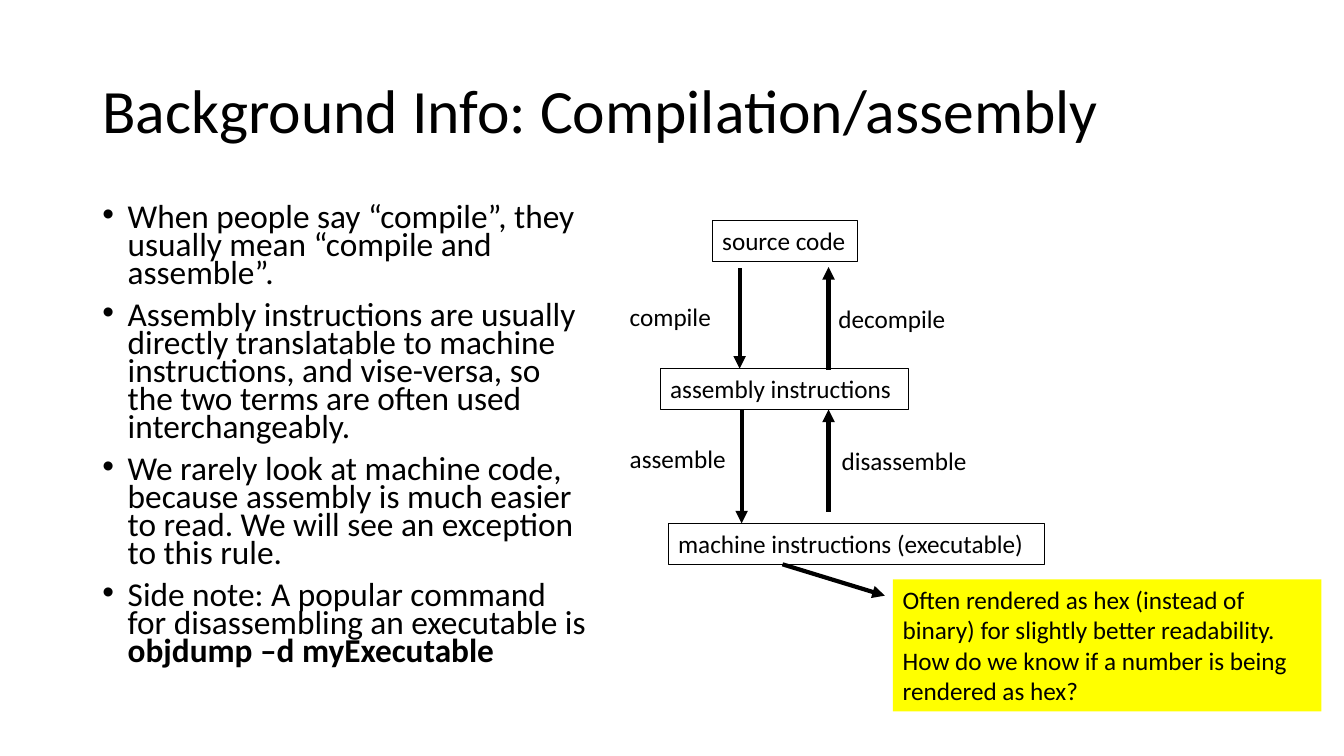
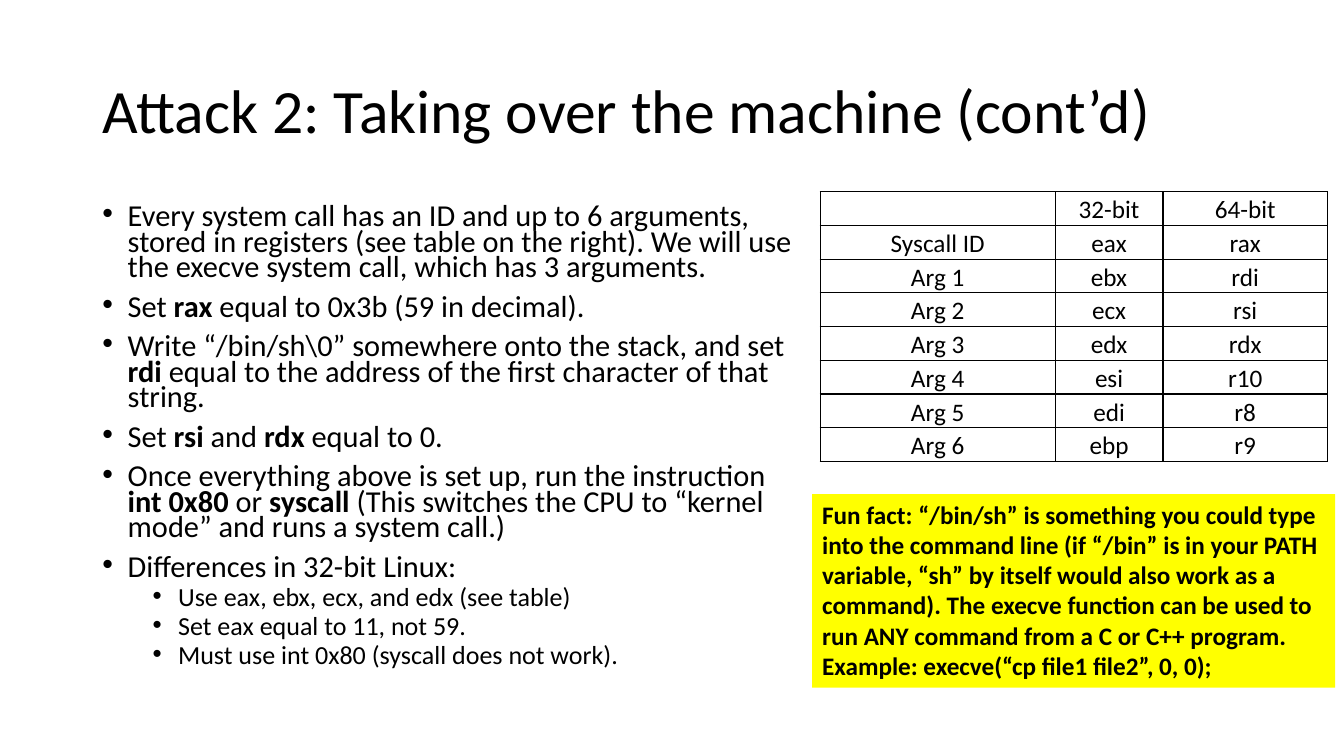
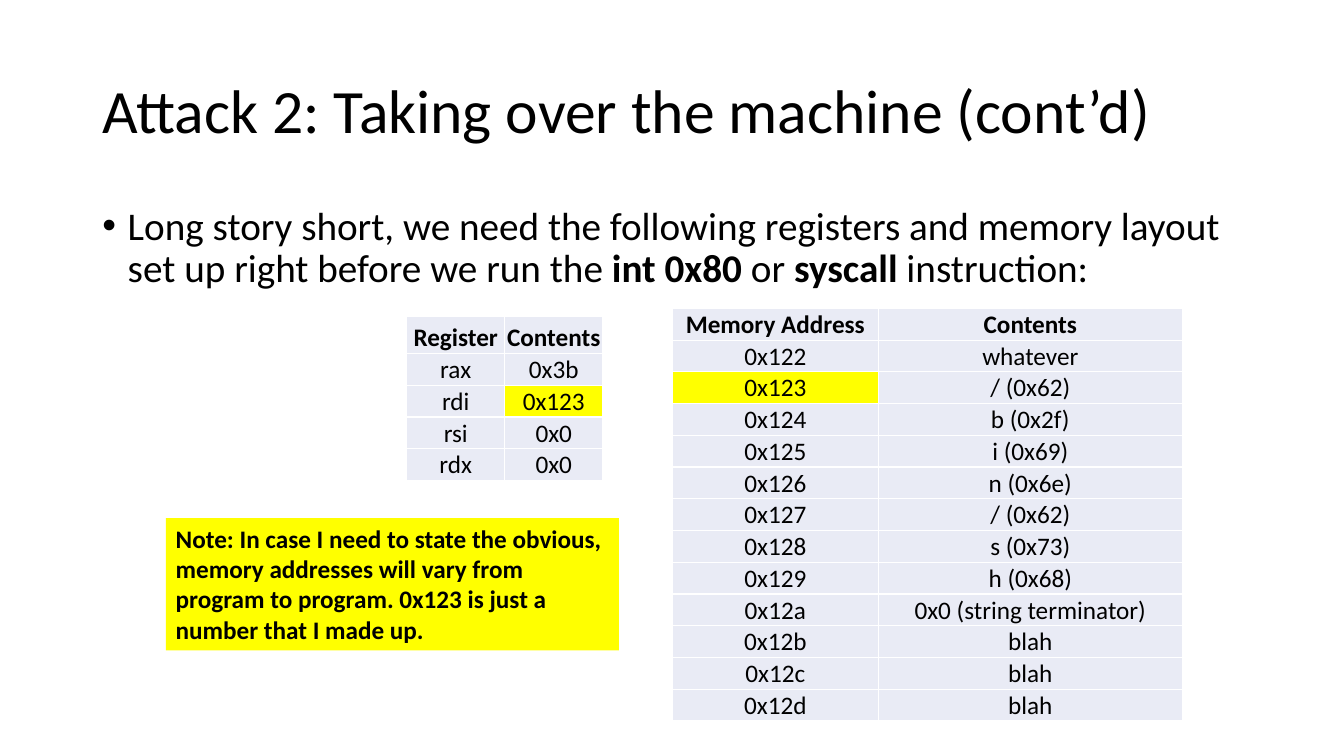
from pptx import Presentation
from pptx.dml.color import RGBColor
from pptx.enum.shapes import MSO_CONNECTOR as Connector, MSO_SHAPE as Shape
from pptx.enum.text import MSO_ANCHOR as Anchor, MSO_AUTO_SIZE as AutoSize, PP_ALIGN as Align
from pptx.oxml.xmlchemy import OxmlElement
from pptx.util import Cm, Pt

FONT = "Calibri"
BLACK, WHITE, YELLOW, PALE = "000000", "FFFFFF", "FFFF00", "E9EBF5"
TITLE_AREA = (2.33, 1.01, 29.21, 3.68)
BODY_LEFT, BODY_TOP, BODY_HEIGHT = 2.33, 5.07, 12.09
INDENT, LEVEL_STEP = 0.64, 1.27
BOX_HEIGHT = 1.03
MARK = "**"  # encloses bold text

COMPILE_TITLE = "Background Info: Compilation/assembly"
COMPILE_POINTS = [
    (0, "When people say “compile”, they usually mean “compile and assemble”."),
    (0, "Assembly instructions are usually directly translatable to machine instructions, "
        "and vise-versa, so the two terms are often used interchangeably."),
    (0, "We rarely look at machine code, because assembly is much easier to read. "
        "We will see an exception to this rule."),
    (0, "Side note: A popular command for disassembling an executable is "
        "**objdump –d myExecutable**"),
]
# text, left, top, width
STAGES = [
    ("source code", 17.95, 5.56, 3.66),
    ("assembly instructions", 16.64, 9.29, 6.25),
    ("machine instructions (executable)", 16.84, 13.19, 9.48),
]
STEP_LABELS = [
    ("compile", 15.62, 7.47, 2.59),
    ("decompile", 20.88, 7.52, 3.26),
    ("assemble", 15.62, 11.04, 2.94),
    ("disassemble", 20.96, 11.09, 3.68),
]
# start x, start y, end x, end y
ARROWS = [
    (18.64, 6.76, 18.64, 9.29),
    (18.69, 10.32, 18.69, 13.19),
    (20.88, 12.9, 20.88, 10.32),
    (20.88, 9.32, 20.88, 6.73),
    (19.72, 14.22, 22.3, 15.01),
]
HEX_NOTE = ("Often rendered as hex (instead of binary) for slightly better readability. "
            "How do we know if a number is being rendered as hex?")

ATTACK_TITLE = "Attack 2: Taking over the machine (cont’d)"
SYSCALL_POINTS = [
    (0, "Every system call has an ID and up to 6 arguments, stored in registers (see table "
        "on the right). We will use the execve system call, which has 3 arguments."),
    (0, "Set **rax** equal to 0x3b (59 in decimal)."),
    (0, "Write “/bin/sh\\0” somewhere onto the stack, and set **rdi** equal to the address "
        "of the first character of that string."),
    (0, "Set **rsi** and **rdx** equal to 0."),
    (0, "Once everything above is set up, run the instruction **int 0x80 **or **syscall **"
        "(This switches the CPU to “kernel mode” and runs a system call.)"),
    (0, "Differences in 32-bit Linux:"),
    (1, "Use eax, ebx, ecx, and edx (see table)"),
    (1, "Set eax equal to 11, not 59."),
    (1, "Must use int 0x80 (syscall does not work)."),
]
SYSCALL_ROWS = [
    ("", "32-bit", "64-bit"),
    ("Syscall ID", "eax", "rax"),
    ("Arg 1", "ebx", "rdi"),
    ("Arg 2", "ecx", "rsi"),
    ("Arg 3", "edx", "rdx"),
    ("Arg 4", "esi", "r10"),
    ("Arg 5", "edi", "r8"),
    ("Arg 6", "ebp", "r9"),
]
FUN_FACT = ("**Fun fact: “/bin/sh” is something you could type into the command line (if “/bin” "
            "is in your PATH variable, “sh” by itself would also work as a command). The execve "
            "function can be used to run ANY command from a C or C++ program. "
            "Example: execve(“cp file1 file2”, 0, 0);**")

LAYOUT_POINTS = [
    (0, "Long story short, we need the following registers and memory layout set up right "
        "before we run the **int 0x80 **or **syscall** instruction:"),
]
REGISTER_ROWS = [
    ("**Register**", "**Contents**"),
    ("rax", "0x3b"), ("rdi", "0x123"), ("rsi", "0x0"), ("rdx", "0x0"),
]
MEMORY_CONTENTS = ["whatever", "/ (0x62)", "b (0x2f)", "i (0x69)", "n (0x6e)", "/ (0x62)",
                   "s (0x73)", "h (0x68)", "0x0 (string terminator)", "blah", "blah", "blah"]
MEMORY_ROWS = [("**Memory Address**", "**Contents**")] + [
    (f"0x{address:x}", text) for address, text in enumerate(MEMORY_CONTENTS, 0x122)]
POINTER = "0x123"
ADDRESS_NOTE = ("**Note: In case I need to state the obvious, memory addresses will vary from "
                "program to program. 0x123 is just a number that I made up.**")


def color(value):
    return RGBColor.from_string(value)


def cm(*values):
    return [Cm(value) for value in values]


def add_text(para, text, size=18):
    """Add runs in turn, plain and bold, as MARK splits the text."""
    for index, part in enumerate(text.split(MARK)):
        if part:
            span = para.add_run()
            span.text = part
            span.font.name, span.font.size = FONT, Pt(size)
            span.font.bold = index % 2 == 1
            span.font.color.rgb = color(BLACK)


def add_page(deck, title):
    page = deck.slides.add_slide(deck.slide_layouts[5])
    holder = page.shapes.title
    holder.left, holder.top, holder.width, holder.height = cm(*TITLE_AREA)
    holder.text_frame.vertical_anchor = Anchor.MIDDLE
    para = holder.text_frame.paragraphs[0]
    para.alignment, para.line_spacing = Align.LEFT, 0.9
    add_text(para, title, 44)
    return page


def add_bullet(para, level):
    props = para._p.get_or_add_pPr()
    props.set("marL", str(Cm(INDENT + level * LEVEL_STEP)))
    props.set("indent", str(-Cm(INDENT)))
    for tag, name, value in (("a:buFont", "typeface", "Arial"), ("a:buChar", "char", "•")):
        element = OxmlElement(tag)
        element.set(name, value)
        props.append(element)


def add_points(page, points, width, sizes, spacing):
    box = page.shapes.add_textbox(*cm(BODY_LEFT, BODY_TOP, width, BODY_HEIGHT))
    frame = box.text_frame
    frame.word_wrap = True
    for index, (level, text) in enumerate(points):
        para = frame.add_paragraph() if index else frame.paragraphs[0]
        para.level = level
        add_bullet(para, level)
        para.line_spacing = spacing
        para.space_before = Pt((10, 5)[level] if index else 0)
        add_text(para, text, sizes[level])


def add_box(page, text, left, top, width, height=BOX_HEIGHT, fill=None, line=None):
    """Add a label, or a rectangle when there is a fill or a line; filled ones wrap."""
    area = cm(left, top, width, height)
    if fill or line:
        box = page.shapes.add_shape(Shape.RECTANGLE, *area)
        box.shadow.inherit = False
    else:
        box = page.shapes.add_textbox(*area)
    if fill:
        box.fill.solid()
        box.fill.fore_color.rgb = color(fill)
    else:
        box.fill.background()
    if line:
        box.line.color.rgb, box.line.width = color(line), Pt(0.75)
    else:
        box.line.fill.background()
    frame = box.text_frame
    frame.word_wrap = bool(fill)
    frame.auto_size = AutoSize.SHAPE_TO_FIT_TEXT
    frame.vertical_anchor = Anchor.TOP
    frame.paragraphs[0].alignment = Align.LEFT
    add_text(frame.paragraphs[0], text)


def add_arrow(page, *ends):
    arrow = page.shapes.add_connector(Connector.STRAIGHT, *cm(*ends))
    arrow.line.color.rgb, arrow.line.width = color(BLACK), Pt(3)
    head = OxmlElement("a:tailEnd")
    head.set("type", "triangle")
    arrow.line._get_or_add_ln().append(head)
    arrow._element.spPr.append(OxmlElement("a:effectLst"))


def add_borders(cell, value):
    props = cell._tc.get_or_add_tcPr()
    for index, side in enumerate("LRTB"):
        edge = OxmlElement(f"a:ln{side}")
        edge.set("w", str(Pt(1)))
        fill, tint = OxmlElement("a:solidFill"), OxmlElement("a:srgbClr")
        tint.set("val", value)
        fill.append(tint)
        edge.append(fill)
        props.insert(index, edge)


def add_grid(page, rows, left, top, widths, heights, border, fill=None, marked=None):
    """Add a centred table; cells whose text is marked turn yellow."""
    area = cm(left, top, sum(widths), sum(heights))
    table = page.shapes.add_table(len(rows), len(widths), *area).table
    table.first_row = table.horz_banding = False
    for column, width in zip(table.columns, widths):
        column.width = Cm(width)
    for row, height, texts in zip(table.rows, heights, rows):
        row.height = Cm(height)
        for cell, text in zip(row.cells, texts):
            cell.margin_left = cell.margin_right = cell.margin_top = Cm(0.02)
            cell.margin_bottom = 0
            cell.vertical_anchor = Anchor.BOTTOM
            if fill:
                cell.fill.solid()
                cell.fill.fore_color.rgb = color(YELLOW if text == marked else fill)
            else:
                cell.fill.background()
            add_borders(cell, border)
            para = cell.text_frame.paragraphs[0]
            para.alignment = Align.CENTER
            add_text(para, text)


def build_compilation(deck):
    page = add_page(deck, COMPILE_TITLE)
    add_points(page, COMPILE_POINTS, 12.78, [23.8], 0.7)
    for stage in STAGES:
        add_box(page, *stage, line=BLACK)
    for label in STEP_LABELS:
        add_box(page, *label)
    add_box(page, HEX_NOTE, 22.5, 14.6, 10.8, 3.33, fill=YELLOW)
    for arrow in ARROWS:
        add_arrow(page, *arrow)


def build_syscalls(deck):
    page = add_page(deck, ATTACK_TITLE)
    add_points(page, SYSCALL_POINTS, 18.14, [21.7, 18.6], 0.7)
    add_grid(page, SYSCALL_ROWS, 20.67, 4.83, [5.92, 2.72, 4.14],
             [0.85] * len(SYSCALL_ROWS), BLACK)
    add_box(page, FUN_FACT, 20.47, 12.45, 13.18, 4.88, fill=YELLOW)


def build_memory(deck):
    page = add_page(deck, ATTACK_TITLE)
    add_points(page, LAYOUT_POINTS, 29.21, [28], 0.9)
    add_grid(page, REGISTER_ROWS, 10.25, 7.98, [2.47, 2.47],
             [0.93] + [0.8] * (len(REGISTER_ROWS) - 1), WHITE, PALE, POINTER)
    add_grid(page, MEMORY_ROWS, 16.95, 7.77, [5.18, 7.67],
             [0.8] * len(MEMORY_ROWS), WHITE, PALE, POINTER)
    add_box(page, ADDRESS_NOTE, 4.18, 13.06, 11.42, 3.33, fill=YELLOW)


def main():
    deck = Presentation()
    deck.slide_width, deck.slide_height = cm(33.87, 19.05)
    for build in (build_compilation, build_syscalls, build_memory):
        build(deck)
    deck.save("out.pptx")


if __name__ == "__main__":
    main()
